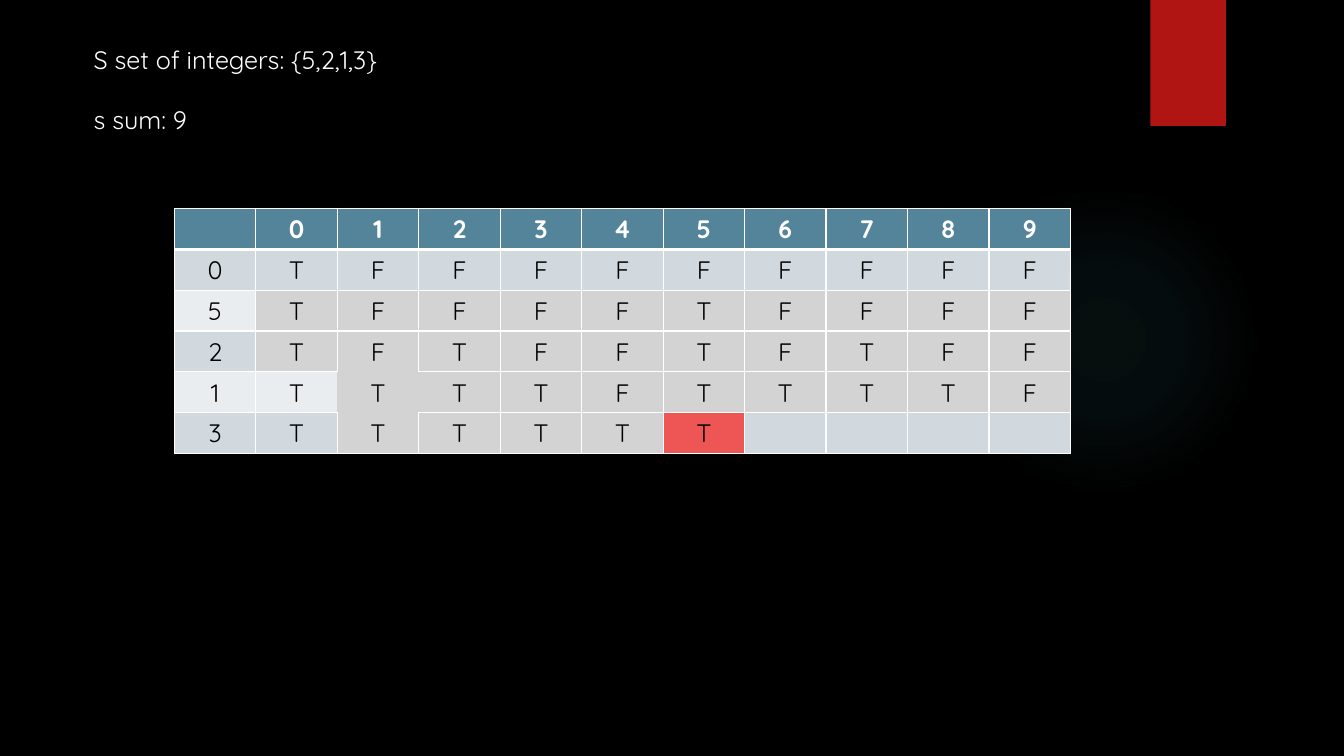
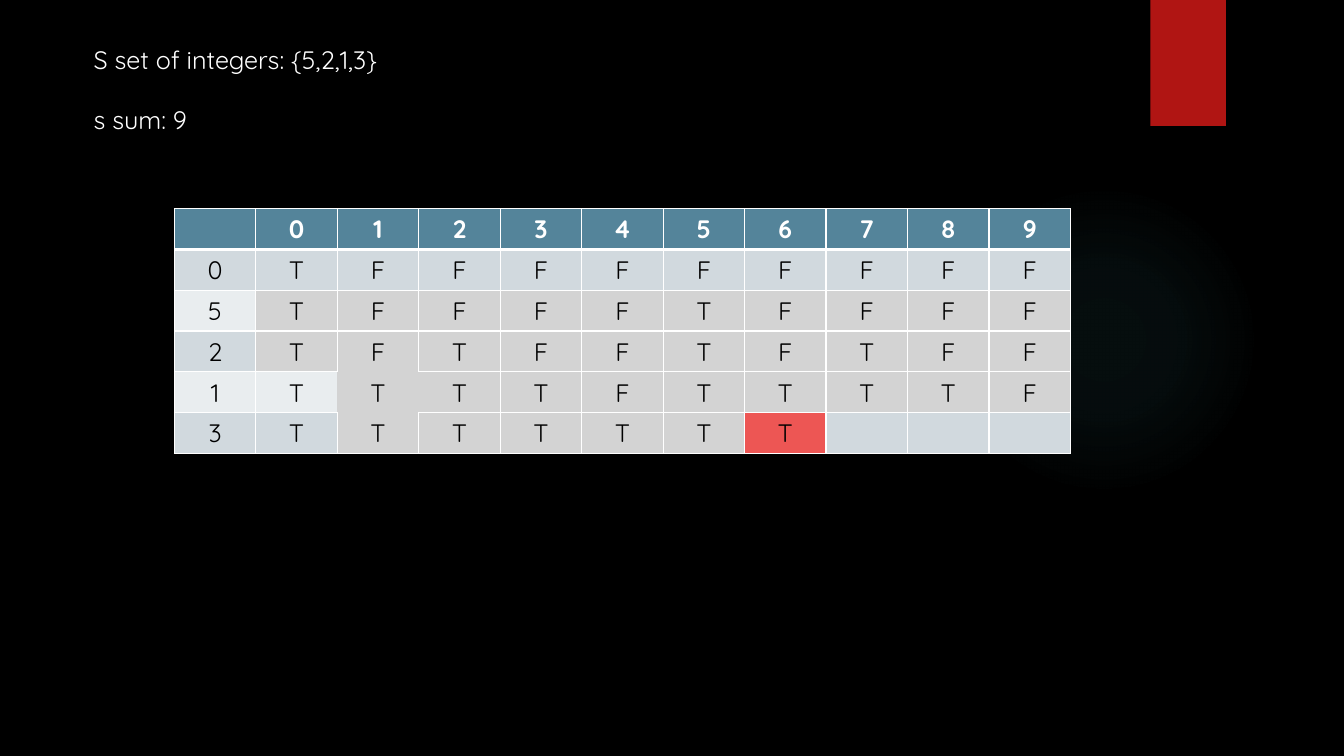
from pptx import Presentation
from pptx.dml.color import RGBColor
from pptx.enum.shapes import MSO_SHAPE
from pptx.enum.text import PP_ALIGN
from pptx.oxml import parse_xml
from pptx.oxml.ns import nsdecls, qn
from pptx.util import Inches, Pt

OVAL, RECTANGLE = MSO_SHAPE.OVAL, MSO_SHAPE.RECTANGLE
LEFT, CENTER = PP_ALIGN.LEFT, PP_ALIGN.CENTER

FONT = "Quicksand"
BLACK, WHITE = "000000", "FFFFFF"
RIBBON, GLOW = "B01513", "50B9C1"
HEADER, BANDS = "54849A", ("D1D9DE", "E9EDEF")
VISITED, CURRENT = "D3D3D3", "ED5654"

PROBLEM = ["S set of integers: {5,2,1,3}", "s sum: 9"]
SUMS = "0123456789"
SOLVED_ROWS = [
    ("0", "TFFFFFFFFF"),
    ("5", "TFFFFTFFFF"),
    ("2", "TFTFFTFTFF"),
    ("1", "TTTTFTTTTF"),
]
LAST_INTEGER = "3"
STEPS = ["TTTTTT", "TTTTTTT"]
FIRST_VISITED = {"5": 1, "2": 1, "1": 2, "3": 2}
OPEN_CELL = (4, 2)

GLOW_STOPS = [(0, 7), (36, 6), (69, 0)]
GLOW_BOX = (9.41, 1.83, 3.08, 3.08)
RIBBON_BOX = (11.41, 0, 0.75, 1.25)
PROBLEM_BOX = (0.83, 0.39, 3.19, 1.01)
TABLE_BOX = (1.73, 2.07, 8.89, 2.43)
SIDES = {"L": (0, -1), "R": (0, 1), "T": (-1, 0), "B": (1, 0)}


def color(hex_code):
    return RGBColor.from_string(hex_code)


def inches(box):
    return [Inches(length) for length in box]


def write(frame, lines, ink=WHITE, bold=False, align=LEFT, gap=0):
    for index, line in enumerate(lines):
        paragraph = frame.add_paragraph() if index else frame.paragraphs[0]
        paragraph.alignment = align
        paragraph.space_before = Pt(gap if index else 0)
        run = paragraph.add_run()
        run.text = line
        run.font.name = FONT
        run.font.size = Pt(18)
        run.font.bold = bold
        run.font.color.rgb = color(ink)


def add_plain_shape(slide, preset, box):
    shape = slide.shapes.add_shape(preset, *inches(box))
    shape.shadow.inherit = False
    shape.line.fill.background()
    shape.fill.background()
    return shape


def add_backdrop(slide):
    glow = add_plain_shape(slide, OVAL, GLOW_BOX)
    stops = "".join(
        f'<a:gs pos="{place * 1000}"><a:srgbClr val="{GLOW}">'
        f'<a:alpha val="{alpha * 1000}"/></a:srgbClr></a:gs>'
        for place, alpha in GLOW_STOPS
    )
    gradient = parse_xml(
        f'<a:gradFill {nsdecls("a")} rotWithShape="1"><a:gsLst>{stops}</a:gsLst>'
        '<a:path path="circle"><a:fillToRect l="50000" t="50000" r="50000" b="50000"/>'
        "</a:path></a:gradFill>"
    )
    properties = glow.element.spPr
    properties.replace(properties.find(qn("a:noFill")), gradient)

    ribbon = add_plain_shape(slide, RECTANGLE, RIBBON_BOX)
    ribbon.fill.solid()
    ribbon.fill.fore_color.rgb = color(RIBBON)


def add_borders(cell, row, column):
    properties = cell._tc.get_or_add_tcPr()
    for side, (down, across) in SIDES.items():
        is_open = OPEN_CELL in ((row, column), (row + down, column + across))
        points = 3 if row == 0 and side == "B" else 1
        paint = (
            "<a:noFill/>" if is_open
            else f'<a:solidFill><a:srgbClr val="{WHITE}"/></a:solidFill>'
        )
        properties.append(parse_xml(
            f'<a:ln{side} {nsdecls("a")} w="{Pt(points)}">{paint}</a:ln{side}>'
        ))


def cell_fill(row, column, integer, filled):
    if row == 0:
        return HEADER
    if integer == LAST_INTEGER and column == filled:
        return CURRENT
    if FIRST_VISITED.get(integer, len(SUMS) + 1) <= column <= filled:
        return VISITED
    return BANDS[(row - 1) % 2]


def add_sum_table(slide, step):
    rows = [("", SUMS), *SOLVED_ROWS, (LAST_INTEGER, step)]
    columns = len(SUMS) + 1
    table = slide.shapes.add_table(len(rows), columns, *inches(TABLE_BOX)).table
    for row, (integer, answers) in enumerate(rows):
        for column, entry in enumerate([integer, *answers.ljust(len(SUMS))]):
            cell = table.cell(row, column)
            add_borders(cell, row, column)
            cell.fill.solid()
            cell.fill.fore_color.rgb = color(
                cell_fill(row, column, integer, len(answers))
            )
            if entry.strip():
                write(cell.text_frame, [entry], ink=BLACK if row else WHITE,
                      bold=row == 0, align=CENTER)


def main():
    deck = Presentation()
    deck.slide_width, deck.slide_height = inches((13.33, 7.5))
    backdrop = deck.slide_master.background.fill
    backdrop.solid()
    backdrop.fore_color.rgb = color(BLACK)
    for step in STEPS:
        slide = deck.slides.add_slide(deck.slide_layouts[6])
        add_backdrop(slide)
        problem = slide.shapes.add_textbox(*inches(PROBLEM_BOX)).text_frame
        problem.word_wrap = False
        write(problem, PROBLEM, gap=21)
        add_sum_table(slide, step)
    deck.save("out.pptx")


if __name__ == "__main__":
    main()
